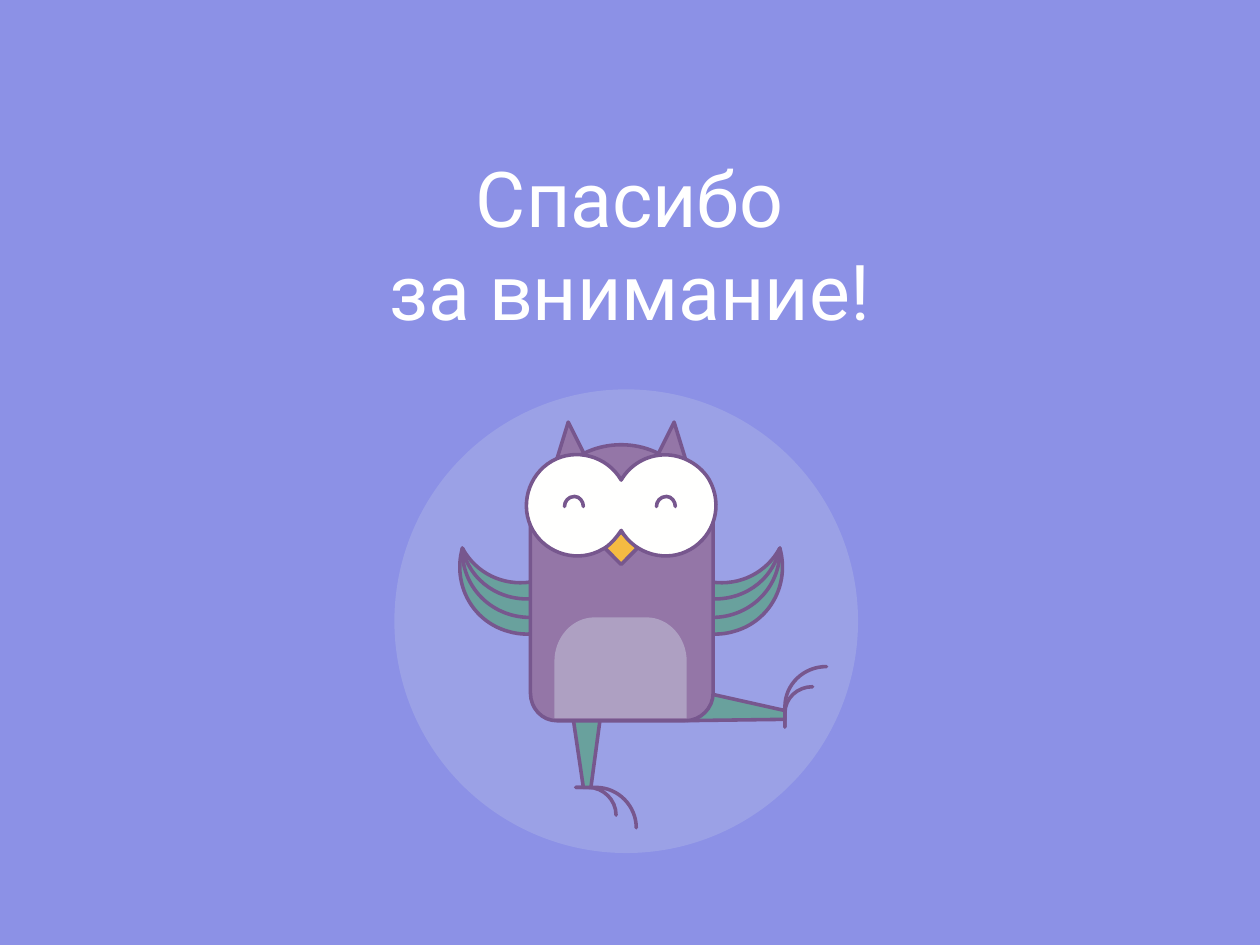
from dataclasses import dataclass

from lxml import etree
from pptx import Presentation
from pptx import util as u
from pptx.dml.color import RGBColor
from pptx.enum import shapes, text
from pptx.oxml import ns


@dataclass(frozen=True)
class Theme:
    background: str = "8C91E6"
    halo: str = "D8E4E7"
    halo_opacity: int = 20
    outline: str = "77578E"
    feather: str = "69A19D"
    body: str = "9476A7"
    belly: str = "AEA0C2"
    beak: str = "F5BB42"
    eye: str = "FFFFFE"
    title: str = "FFFFFF"
    font: str = "Roboto"
    title_size: float = 44
    line_width: float = 2.04


theme = Theme()
AXIS = 4.93  # vertical axis of the owl

deck = Presentation()
deck.slide_width, deck.slide_height = u.Inches(10), u.Inches(7.5)
slide = deck.slides.add_slide(deck.slide_layouts[6])
slide.background.fill.solid()
slide.background.fill.fore_color.rgb = RGBColor.from_string(theme.background)


def place(numbers, mirror):
    """Pair up numbers in inches as points, optionally reflected in the owl's axis."""
    return [(u.Inches(2 * AXIS - x if mirror else x), u.Inches(y))
            for x, y in zip(numbers[::2], numbers[1::2])]


def draw(*outlines, fill=None, line=True, close=False, mirror=False):
    """Draw outlines as one shape; a segment of six numbers is a cubic curve."""
    builder = slide.shapes.build_freeform(*place(outlines[0][0], mirror)[0])
    for index, (start, *segments) in enumerate(outlines):
        if index:
            builder.move_to(*place(start, mirror)[0])
        points = [point for segment in segments for point in place(segment, mirror)]
        builder.add_line_segments(points, close=close)
    part = builder.convert_to_shape()
    part.shadow.inherit = False

    # Join the three points of each curve into one curve element
    steps = iter(part.element.spPr.findall(".//" + ns.qn("a:lnTo")))
    for segment in (segment for outline in outlines for segment in outline[1:]):
        step = next(steps)
        if len(segment) == 6:
            step.tag = ns.qn("a:cubicBezTo")
            for extra in (next(steps), next(steps)):
                step.append(extra[0])
                extra.getparent().remove(extra)

    if fill:
        part.fill.solid()
        part.fill.fore_color.rgb = RGBColor.from_string(fill)
    else:
        part.fill.background()
    if not line:
        part.line.fill.background()
        return
    part.line.color.rgb = RGBColor.from_string(theme.outline)
    part.line.width = u.Pt(theme.line_width)
    stroke = part.element.spPr.find(ns.qn("a:ln"))
    stroke.set("cap", "rnd")
    etree.SubElement(stroke, ns.qn("a:round"))


# Pale circle behind the owl
halo = slide.shapes.add_shape(shapes.MSO_SHAPE.OVAL, u.Inches(3.13), u.Inches(3.09),
                              u.Inches(3.68), u.Inches(3.68))
halo.shadow.inherit = False
halo.line.fill.background()
halo.fill.solid()
halo.fill.fore_color.rgb = RGBColor.from_string(theme.halo)
halo_color = halo.element.spPr.find(".//" + ns.qn("a:srgbClr"))
etree.SubElement(halo_color, ns.qn("a:alpha"), val=str(theme.halo_opacity * 1000))

# Wings
middle_feather = [(4.25, 4.75), (3.98, 4.78, 3.73, 4.62, 3.67, 4.35)]
lower_wing = [(4.29, 4.88), *middle_feather, (3.59, 4.64, 3.75, 4.93, 4.03, 5.01),
              (4.13, 5.04, 4.23, 5.04, 4.33, 5.01), (4.31, 4.97, 4.3, 4.92, 4.29, 4.88)]
upper_wing = [(4.29, 4.88), (4.26, 4.79, 4.24, 4.71, 4.21, 4.62),
              (3.99, 4.65, 3.78, 4.55, 3.67, 4.35), (3.66, 4.65, 3.89, 4.89, 4.19, 4.9),
              (4.22, 4.9, 4.26, 4.9, 4.29, 4.89), (4.29, 4.88)]
for mirror in (False, True):
    draw(lower_wing, fill=theme.feather, close=True, mirror=mirror)
    draw(upper_wing, fill=theme.feather, line=False, mirror=mirror)
    draw(upper_wing, middle_feather, mirror=mirror)

# Legs and toes
raised_leg = [(5.65, 5.51), (6.23, 5.64), (6.23, 5.71), (5.45, 5.72)]
standing_leg = [(4.76, 5.73), (4.69, 6.25), (4.63, 6.25), (4.55, 5.71)]
raised_toes = ([(6.56, 5.29), (6.38, 5.29, 6.23, 5.43, 6.23, 5.61), (6.23, 5.77)],
               [(6.45, 5.45), (6.33, 5.45, 6.23, 5.54, 6.23, 5.66), (6.23, 5.77)])
standing_toes = ([(5.05, 6.57), (5.05, 6.4, 4.91, 6.25, 4.73, 6.25), (4.57, 6.25)],
                 [(4.89, 6.47), (4.89, 6.35, 4.79, 6.25, 4.67, 6.25), (4.57, 6.25)])
draw(*raised_toes)
draw(raised_leg, fill=theme.feather, line=False)
draw(raised_leg, *standing_toes)
draw(standing_leg, fill=theme.feather)

# Ears, body and belly
for mirror in (False, True):
    draw([(4.35, 3.87), (4.51, 3.35), (4.64, 3.61)], fill=theme.body, close=True, mirror=mirror)
draw([(5.66, 4.03), (5.66, 5.5), (5.66, 5.62, 5.56, 5.72, 5.44, 5.72), (4.42, 5.72),
      (4.3, 5.72, 4.21, 5.62, 4.21, 5.5), (4.21, 4.03)], fill=theme.body)
draw([(4.4, 5.7), (4.4, 5.25), (4.4, 5.06, 4.54, 4.9, 4.72, 4.9), (5.13, 4.9),
      (5.31, 4.9, 5.45, 5.06, 5.45, 5.25), (5.45, 5.7)],
     fill=theme.belly, line=False, close=True)

# Crown and beak
draw([(5.6, 4.21), (5.6, 4.39, 4.93, 4.06, 4.93, 4.06), (4.93, 4.06, 4.26, 4.39, 4.26, 4.21),
      (4.26, 3.83, 4.56, 3.53, 4.93, 3.53), (5.3, 3.53, 5.6, 3.83, 5.6, 4.21)],
     fill=theme.body, close=True)
draw([(5.06, 4.35), (4.93, 4.48), (4.8, 4.35), (4.93, 4.22)], fill=theme.beak, close=True)

# Joined eye discs and smiling eyelids
draw([(5.28, 3.61), (5.13, 3.61, 5, 3.69, 4.93, 3.81), (4.82, 3.62, 4.57, 3.55, 4.38, 3.66),
      (4.19, 3.77, 4.12, 4.02, 4.23, 4.21), (4.34, 4.4, 4.59, 4.47, 4.78, 4.36),
      (4.84, 4.33, 4.89, 4.27, 4.93, 4.21), (5.04, 4.4, 5.29, 4.47, 5.48, 4.36),
      (5.67, 4.25, 5.74, 4.01, 5.63, 3.81), (5.56, 3.69, 5.42, 3.61, 5.28, 3.61)],
     fill=theme.eye, close=True)
for left in (4.48, 5.21):
    draw([(left, 4.02), (left, 3.98, left + 0.03, 3.94, left + 0.08, 3.94),
          (left + 0.12, 3.94, left + 0.15, 3.98, left + 0.15, 4.02)], fill=theme.eye)

# Closing words
thanks = slide.shapes.add_textbox(u.Inches(1.75), u.Inches(1.14), u.Inches(6.5), u.Inches(1.58))
frame = thanks.text_frame
frame.word_wrap = True
frame.vertical_anchor = text.MSO_ANCHOR.MIDDLE
for index, words in enumerate(("Спасибо", "за внимание!")):
    paragraph = frame.add_paragraph() if index else frame.paragraphs[0]
    paragraph.alignment = text.PP_ALIGN.CENTER
    run = paragraph.add_run()
    run.text = words
    run.font.name = theme.font
    run.font.size = u.Pt(theme.title_size)
    run.font.color.rgb = RGBColor.from_string(theme.title)

deck.save("out.pptx")
